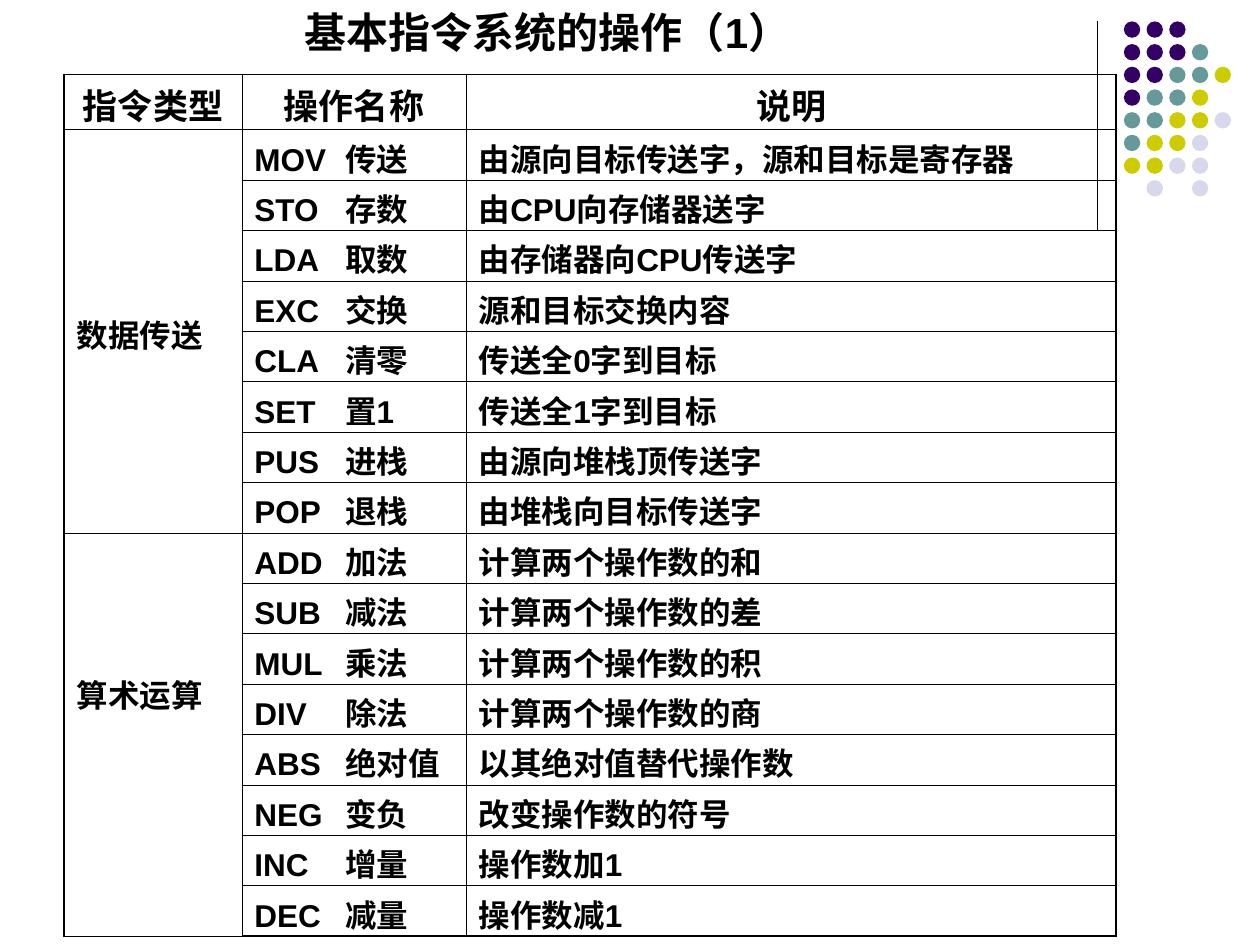
import pptx
import pptx.util
import pptx.dml.color
import pptx.enum.shapes
import pptx.enum.text
import pptx.oxml
import pptx.oxml.ns
from lxml import etree

Inches, Pt = pptx.util.Inches, pptx.util.Pt
Align, Anchor = pptx.enum.text.PP_ALIGN, pptx.enum.text.MSO_ANCHOR
qn = pptx.oxml.ns.qn

HEAD = ["指令类型", "操作名称", "说明"]
GROUPS = [
    ("数据传送", 0, [
        ("MOV", "传送", "由源向目标传送字，源和目标是寄存器"),
        ("STO", "存数", "由CPU向存储器送字"),
        ("LDA", "取数", "由存储器向CPU传送字"),
        ("EXC", "交换", "源和目标交换内容"),
        ("CLA", "清零", "传送全0字到目标"),
        ("SET", "置1", "传送全1字到目标"),
        ("PUS", "进栈", "由源向堆栈顶传送字"),
        ("POP", "退栈", "由堆栈向目标传送字"),
    ]),
    ("算术运算", 0.68, [
        ("ADD", "加法", "计算两个操作数的和"),
        ("SUB", "减法", "计算两个操作数的差"),
        ("MUL", "乘法", "计算两个操作数的积"),
        ("DIV", "除法", "计算两个操作数的商"),
        ("ABS", "绝对值", "以其绝对值替代操作数"),
        ("NEG", "变负", "改变操作数的符号"),
        ("INC", "增量", "操作数加1"),
        ("DEC", "减量", "操作数减1"),
    ]),
]
# One letter per dot: purple, teal, yellow, grey
DOTS = ["PPP", "PPPT", "PPTTY", "PTTY", "TTYYG", "TYYG", "YYGG", " G G"]
HUES = {"P": "330066", "T": "669999", "Y": "CCCC00", "G": "D8D8EC"}


def color(code):
    return pptx.dml.color.RGBColor.from_string(code)


def write(par, text, size):
    run = par.add_run()
    run.text = text
    run.font.name = "Arial"
    run.font.size = Pt(size)
    run.font.bold = True
    run.font.color.rgb = color("000000")


def add_tab(par, stop):
    tabs = etree.SubElement(par._p.get_or_add_pPr(), qn("a:tabLst"))
    etree.SubElement(tabs, qn("a:tab"), pos=str(Inches(stop)), algn="l")


def draw_title(slide, left, top, width, height):
    title = slide.shapes.title
    title.left, title.top = Inches(left), Inches(top)
    title.width, title.height = Inches(width), Inches(height)
    frame = title.text_frame
    frame.word_wrap = True
    frame.auto_size = pptx.enum.text.MSO_AUTO_SIZE.NONE
    frame.vertical_anchor = Anchor.MIDDLE
    par = frame.paragraphs[0]
    par.alignment = Align.LEFT
    write(par, "基本指令系统的操作（1）", 24)


def draw_rule(slide, x, top, base):
    rule = slide.shapes.add_connector(
        pptx.enum.shapes.MSO_CONNECTOR.STRAIGHT,
        Inches(x), Inches(top), Inches(x), Inches(base))
    rule.line.color.rgb = color("000000")
    rule.line.width = Pt(0.75)
    etree.SubElement(rule._element.spPr, qn("a:effectLst"))


def draw_dots(slide, left, top, step, size):
    group = slide.shapes.add_group_shape()
    for row, line in enumerate(DOTS):
        for col, key in enumerate(line):
            if key == " ":
                continue
            dot = group.shapes.add_shape(
                pptx.enum.shapes.MSO_SHAPE.OVAL,
                Inches(left + col * step), Inches(top + row * step),
                Inches(size), Inches(size))
            dot.shadow.inherit = False
            dot.fill.solid()
            dot.fill.fore_color.rgb = color(HUES[key])
            dot.line.fill.background()


def add_edges(cell, thick):
    """Draw all four edges; the sides named in thick are outer ones."""
    props = cell._tc.get_or_add_tcPr()
    for side in "LRTB":
        width = Pt(1.08 if side in thick else 0.45)
        edge = etree.SubElement(props, qn("a:ln" + side), w=str(width))
        fill = etree.SubElement(edge, qn("a:solidFill"))
        etree.SubElement(fill, qn("a:srgbClr"), val="000000")


def draw_table(slide, left, top, widths, head, step):
    count = 1 + sum(len(items) for _, _, items in GROUPS)
    table = slide.shapes.add_table(
        count, len(widths), Inches(left), Inches(top),
        Inches(sum(widths)), Inches(head + step * (count - 1))).table
    table.first_row = table.horz_banding = False
    for col, width in enumerate(widths):
        table.columns[col].width = Inches(width)

    # Cell frames
    last = len(widths) - 1
    for row in range(count):
        table.rows[row].height = Inches(step if row else head)
        for col in range(len(widths)):
            cell = table.cell(row, col)
            outer = {"L": col == 0, "R": col == last,
                     "T": row == 0, "B": row == count - 1}
            add_edges(cell, [side for side in outer if outer[side]])
            cell.fill.background()
            cell.margin_top, cell.margin_bottom = Inches(0.03), 0
            cell.vertical_anchor = Anchor.BOTTOM

    # Header
    for col, text in enumerate(HEAD):
        par = table.cell(0, col).text_frame.paragraphs[0]
        par.alignment = Align.CENTER
        write(par, text, 20)

    # Groups of instructions
    row = 1
    for kind, lift, items in GROUPS:
        cell = table.cell(row, 0)
        cell.merge(table.cell(row + len(items) - 1, 0))
        cell.vertical_anchor = Anchor.MIDDLE
        cell.margin_bottom = Inches(lift)
        write(cell.text_frame.paragraphs[0], kind, 18)
        for code, name, note in items:
            par = table.cell(row, 1).text_frame.paragraphs[0]
            add_tab(par, 0.72)
            write(par, code + "\t" + name, 18)
            write(table.cell(row, 2).text_frame.paragraphs[0], note, 18)
            row += 1


def main():
    deck = pptx.Presentation()
    deck.slide_width, deck.slide_height = Inches(10), Inches(7.5)
    slide = deck.slides.add_slide(deck.slide_layouts[5])
    draw_rule(slide, 8.71, 0.17, 1.83)
    draw_dots(slide, 8.92, 0.17, 0.18, 0.13)
    draw_table(slide, 0.51, 0.59, [1.41, 1.78, 5.16], 0.44, 0.4)
    draw_title(slide, 2.32, 0, 4.8, 0.5)
    deck.save("out.pptx")


if __name__ == "__main__":
    main()
